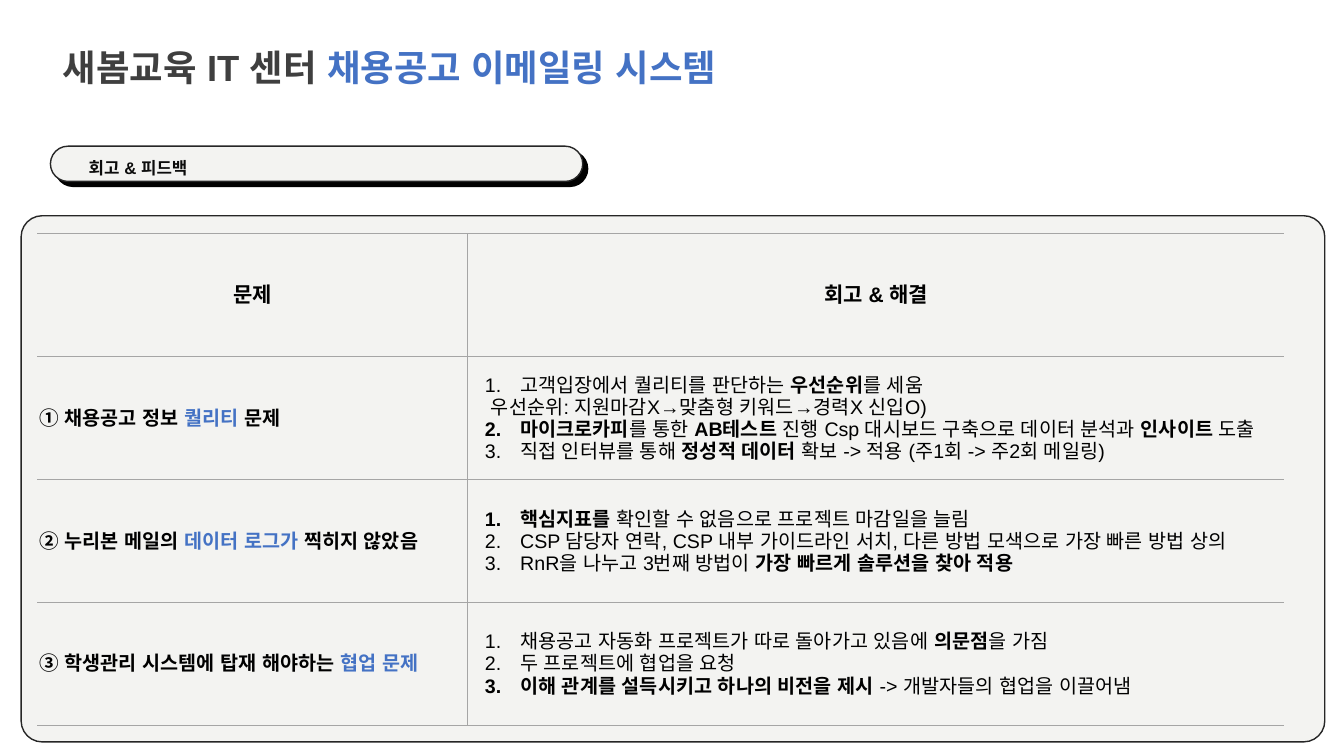
from lxml import etree
from pptx import Presentation
from pptx.dml.color import RGBColor
from pptx.enum import shapes, text
from pptx.oxml import ns
from pptx.util import Inches, Pt

BLUE = RGBColor(0x44, 0x72, 0xC4)
BLACK = RGBColor(0, 0, 0)
TITLE_GRAY = RGBColor(0x3F, 0x3F, 0x3F)
LABEL_BLACK = RGBColor(0x0C, 0x0C, 0x0C)
OUTLINE = RGBColor(0x26, 0x26, 0x26)
PANEL_FILL = RGBColor(0xF3, 0xF3, 0xF1)
RULE_GRAY = RGBColor(0xA5, 0xA5, 0xA5)

TITLE_FORMAT = {"name": "Arial", "size": Pt(26), "bold": True, "color": TITLE_GRAY}
LABEL_FORMAT = {"name": "Arial", "size": Pt(12), "bold": True, "color": LABEL_BLACK}
HEADER_FORMAT = {"name": "Arial", "size": Pt(15), "bold": True, "color": BLACK}
PROBLEM_FORMAT = {**HEADER_FORMAT, "size": Pt(14)}
ANSWER_FORMAT = {**PROBLEM_FORMAT, "bold": False}
ACCENT = {"color": BLUE}
STRONG = {"bold": True}

# A run is plain text, or a pair of text and the format that differs.
TITLE = ["새봄교육 IT 센터 ", ("채용공고 이메일링 시스템", ACCENT)]
LABEL = ["회고 & 피드백"]
HEADERS = [["문제"], ["회고 & 해결"]]
NOTE = ["우선순위: 지원마감X→맞춤형 키워드→경력X 신입O)"]
REVIEWS = [
    (["① 채용공고 정보 ", ("퀄리티", ACCENT), " 문제"],
     [["고객입장에서 퀄리티를 판단하는 ", ("우선순위", STRONG), "를 세움"],
      NOTE,
      [("마이크로카피", STRONG), "를 통한 ", ("AB테스트 ", STRONG),
       "진행 Csp 대시보드 구축으로 데이터 분석과 ", ("인사이트", STRONG), " 도출"],
      ["직접 인터뷰를 통해 ", ("정성적 데이터 ", STRONG),
       "확보 -> 적용 (주1회 -> 주2회 메일링)"]]),
    (["② 누리본 메일의 ", ("데이터 로그가 ", ACCENT), "찍히지 않았음"],
     [[("핵심지표를", STRONG), " 확인할 수 없음으로 프로젝트 마감일을 늘림"],
      ["CSP 담당자 연락, CSP 내부 가이드라인 서치, 다른 방법 모색으로 가장 빠른 방법 상의"],
      ["RnR을 나누고 3번째 방법이 ", ("가장 빠르게 솔루션을 찾아 적용", STRONG)]]),
    (["③ 학생관리 시스템에 탑재 해야하는 ", ("협업 문제", ACCENT)],
     [["채용공고 자동화 프로젝트가 따로 돌아가고 있음에 ", ("의문점", STRONG), "을 가짐"],
      ["두 프로젝트에 협업을 요청"],
      [("이해 관계를 설득시키고 하나의 비전을 제시 ", STRONG),
       "-> 개발자들의 협업을 이끌어냄"]]),
]

COLUMN_WIDTHS = [4.27, 8.1]
ROW_HEIGHT = 1.22
SIDES = ["L", "R", "T", "B"]


def apply(target, values):
    for name, value in values.items():
        setattr(target, name, value)


def add_xml(parent, tag, **attributes):
    return etree.SubElement(parent, ns.qn(tag), attributes)


def write(paragraph, runs, base):
    """Add the runs, with the same typeface for Latin and Korean text."""
    for entry in runs:
        words, change = (entry, {}) if isinstance(entry, str) else entry
        run = paragraph.add_run()
        run.text = words
        values = {**base, **change}
        run.font.color.rgb = values.pop("color")
        apply(run.font, values)
        add_xml(run.font._element, "a:ea", typeface=values["name"])


def add_bar(slide, box, rounding):
    """Add a rounded, outlined bar with the panel fill."""
    bar = slide.shapes.add_shape(
        shapes.MSO_SHAPE.ROUNDED_RECTANGLE, *map(Inches, box))
    bar.adjustments[0] = rounding
    bar.fill.solid()
    bar.fill.fore_color.rgb = PANEL_FILL
    bar.line.color.rgb = OUTLINE
    bar.line.width = Pt(1)
    bar.shadow.inherit = False
    return bar


def add_hard_shadow(bar):
    effects = bar._element.spPr.find(ns.qn("a:effectLst"))
    shadow = add_xml(effects, "a:outerShdw", dist=str(Pt(5)), dir="2700000",
                     algn="tl", rotWithShape="0")
    add_xml(shadow, "a:srgbClr", val=str(BLACK))


def number(paragraph):
    properties = paragraph._p.get_or_add_pPr()
    properties.set("marL", str(Inches(0.5)))
    properties.set("indent", str(Inches(-0.35)))
    color = add_xml(properties, "a:buClr")
    add_xml(color, "a:srgbClr", val=str(BLACK))
    add_xml(properties, "a:buFont", typeface="+mj-lt")
    add_xml(properties, "a:buAutoNum", type="arabicPeriod")


def format_cell(cell, ruled_sides):
    apply(cell, {"margin_left": Inches(0.02), "margin_right": Inches(0.02),
                 "margin_top": 0, "margin_bottom": 0,
                 "vertical_anchor": text.MSO_ANCHOR.MIDDLE})
    properties = cell._tc.get_or_add_tcPr()
    for side in SIDES:
        rule = add_xml(properties, f"a:ln{side}", w=str(Pt(0.75)))
        if side in ruled_sides:
            fill = add_xml(rule, "a:solidFill")
            add_xml(fill, "a:srgbClr", val=str(RULE_GRAY))
        else:
            add_xml(rule, "a:noFill")
    cell.fill.background()


def add_title(slide):
    title = slide.shapes.title
    apply(title, {"left": Inches(0.52), "top": Inches(0.39),
                  "width": Inches(9.08), "height": Inches(0.54)})
    apply(title.text_frame, {"margin_top": 0, "margin_bottom": 0,
                             "vertical_anchor": text.MSO_ANCHOR.MIDDLE,
                             "auto_size": text.MSO_AUTO_SIZE.NONE})
    paragraph = title.text_frame.paragraphs[0]
    paragraph.alignment = text.PP_ALIGN.LEFT
    write(paragraph, TITLE, TITLE_FORMAT)


def add_label(slide):
    add_hard_shadow(add_bar(slide, (0.5, 1.45, 5.28, 0.35), 0.5))
    label = slide.shapes.add_textbox(*map(Inches, (0.74, 1.47, 4.86, 0.34)))
    apply(label.text_frame, {"margin_left": Inches(0.14), "word_wrap": True,
                             "margin_top": 0, "margin_bottom": 0,
                             "vertical_anchor": text.MSO_ANCHOR.MIDDLE})
    paragraph = label.text_frame.paragraphs[0]
    paragraph.line_spacing = 1.2
    write(paragraph, LABEL, LABEL_FORMAT)


def add_reviews(slide):
    row_count = len(REVIEWS) + 1
    table = slide.shapes.add_table(
        row_count, len(COLUMN_WIDTHS), Inches(0.37), Inches(2.32),
        Inches(sum(COLUMN_WIDTHS)), Inches(ROW_HEIGHT * row_count)).table
    apply(table, {"first_row": False, "horz_banding": False})
    for column, width in zip(table.columns, COLUMN_WIDTHS):
        column.width = Inches(width)
    for row in table.rows:
        row.height = Inches(ROW_HEIGHT)
        for cell, ruled_sides in zip(row.cells, ("RTB", "LTB")):
            format_cell(cell, ruled_sides)

    for cell, header in zip(table.rows[0].cells, HEADERS):
        paragraph = cell.text_frame.paragraphs[0]
        paragraph.alignment = text.PP_ALIGN.CENTER
        write(paragraph, header, HEADER_FORMAT)

    for row, (problem, answers) in enumerate(REVIEWS, start=1):
        write(table.cell(row, 0).text_frame.paragraphs[0], problem, PROBLEM_FORMAT)
        frame = table.cell(row, 1).text_frame
        for index, answer in enumerate(answers):
            paragraph = frame.add_paragraph() if index else frame.paragraphs[0]
            if answer is NOTE:
                paragraph._p.get_or_add_pPr().set("marL", str(Inches(0.21)))
            else:
                number(paragraph)
            write(paragraph, answer, ANSWER_FORMAT)


def main():
    deck = Presentation()
    apply(deck, {"slide_width": Inches(13.33), "slide_height": Inches(7.5)})
    slide = deck.slides.add_slide(deck.slide_layouts[5])
    add_bar(slide, (0.21, 2.14, 12.93, 5.22), 0.04)
    add_title(slide)
    add_label(slide)
    add_reviews(slide)
    deck.save("out.pptx")


if __name__ == "__main__":
    main()
